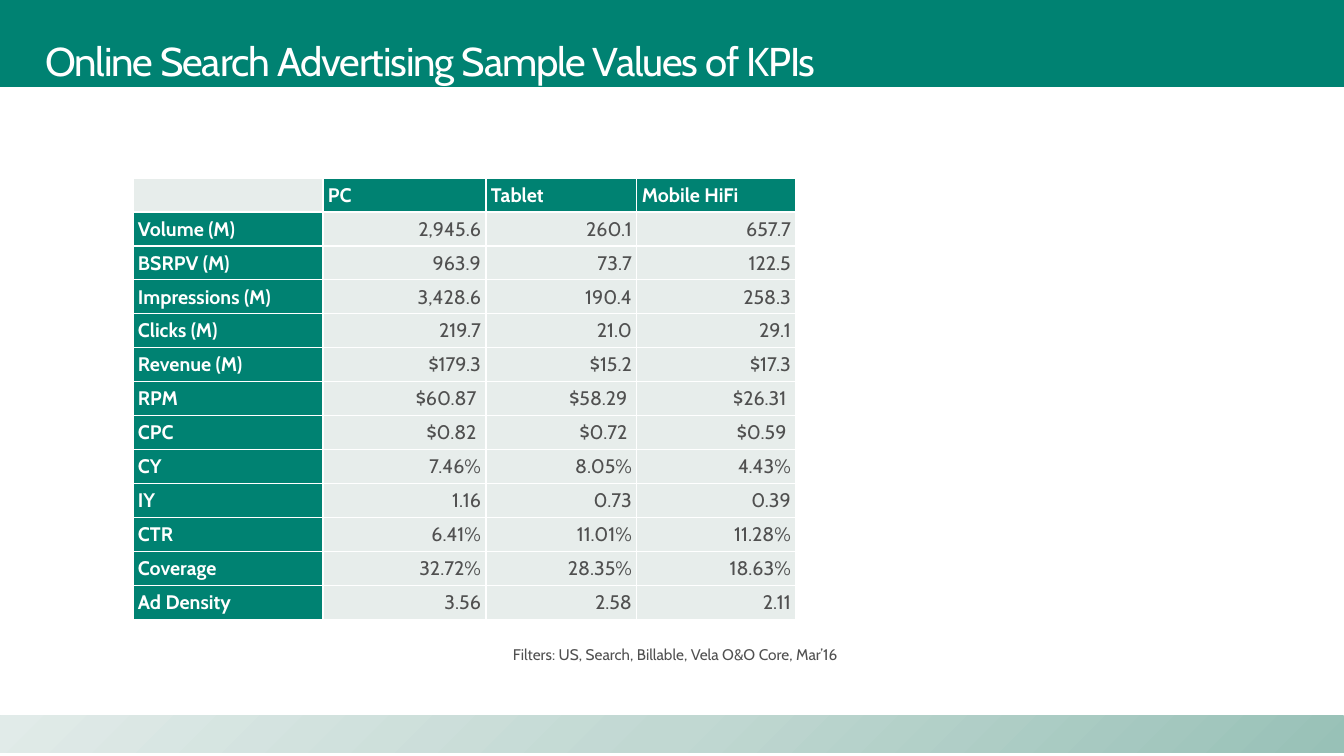
from dataclasses import dataclass

from lxml.etree import SubElement
from pptx import Presentation
from pptx.dml.color import RGBColor
from pptx.enum.shapes import MSO_SHAPE
from pptx.enum.text import MSO_ANCHOR, MSO_AUTO_SIZE, PP_ALIGN
from pptx.oxml import parse_xml
from pptx.oxml.ns import nsdecls, qn
from pptx.util import Pt

TITLE = "Online Search Advertising Sample Values of KPIs"
FILTERS = "Filters: US, Search, Billable, Vela O&O Core, Mar’16"
KPI_ROWS = [
    ("", "PC", "Tablet", "Mobile HiFi"),
    ("Volume (M)", "2,945.6", "260.1", "657.7"),
    ("BSRPV (M)", "963.9", "73.7", "122.5"),
    ("Impressions (M)", "3,428.6", "190.4", "258.3"),
    ("Clicks (M)", "219.7", "21.0", "29.1"),
    ("Revenue (M)", "$179.3", "$15.2", "$17.3"),
    ("RPM", "$60.87 ", "$58.29 ", "$26.31 "),
    ("CPC", "$0.82 ", "$0.72 ", "$0.59 "),
    ("CY", "7.46%", "8.05%", "4.43%"),
    ("IY", "1.16", "0.73", "0.39"),
    ("CTR", "6.41%", "11.01%", "11.28%"),
    ("Coverage", "32.72%", "28.35%", "18.63%"),
    ("Ad Density", "3.56", "2.58", "2.11"),
]

SLIDE_SIZE = (1344, 756)
HEADER_BAND = (0, 0, 1344, 87)
FOOTER_BAND = (0, 716, 1344, 37)
TITLE_BOX = (29, 32, 1197, 146)
FILTERS_BOX = (503, 640, 395, 29)
TABLE_ORIGIN = (133, 178)
COLUMN_WIDTHS = (190, 163, 151, 159)
ROW_HEIGHT = 34
CELL_MARGIN = 5


@dataclass(frozen=True)
class Theme:
    font: str = "Cabin"
    accent: str = "008272"
    pale: str = "E7EDEB"
    white: str = "FFFFFF"
    ink: str = "505050"
    footer_stops: tuple = ((0, "98C1B7"), (50, "C1D8D2"), (100, "E1EBE9"))
    footer_angle: int = 225
    title_size: float = 28.7
    table_size: int = 14
    note_size: int = 11


THEME = Theme()


def px(length):
    return round(length * 914400 / 100.8)


def box(lengths):
    return [px(length) for length in lengths]


def style_runs(paragraph, size, color, bold=False):
    for run in paragraph.runs:
        run.font.name = THEME.font
        run.font.size = Pt(size)
        run.font.bold = bold
        run.font.color.rgb = RGBColor.from_string(color)


def add_band(slide, bounds):
    band = slide.shapes.add_shape(MSO_SHAPE.RECTANGLE, *box(bounds))
    band.shadow.inherit = False
    band.line.fill.background()
    band.fill.solid()
    band.fill.fore_color.rgb = RGBColor.from_string(THEME.accent)
    slide.shapes.title.element.addprevious(band.element)
    return band


def apply_gradient(shape, stops, angle):
    stop_xml = "".join(
        f'<a:gs pos="{position * 1000}"><a:srgbClr val="{color}"/></a:gs>'
        for position, color in stops
    )
    gradient = parse_xml(
        f'<a:gradFill {nsdecls("a")} rotWithShape="1"><a:gsLst>{stop_xml}</a:gsLst>'
        f'<a:lin ang="{angle * 60000}" scaled="0"/></a:gradFill>'
    )
    solid = shape.element.spPr.find(qn("a:solidFill"))
    solid.getparent().replace(solid, gradient)


def add_title(slide):
    title = slide.shapes.title
    title.left, title.top, title.width, title.height = box(TITLE_BOX)
    frame = title.text_frame
    frame.text = TITLE
    frame.word_wrap = True
    frame.auto_size = MSO_AUTO_SIZE.NONE
    frame.vertical_anchor = MSO_ANCHOR.TOP
    frame.margin_left = frame.margin_right = px(16)
    frame.margin_top = frame.margin_bottom = px(10)
    paragraph = frame.paragraphs[0]
    paragraph.alignment = PP_ALIGN.LEFT
    paragraph.line_spacing = 0.9
    style_runs(paragraph, THEME.title_size, THEME.white)
    paragraph.runs[0].font.element.set("spc", "-80") if hasattr(
        paragraph.runs[0].font, "element"
    ) else paragraph.runs[0]._r.get_or_add_rPr().set("spc", "-80")


def add_borders(cell):
    properties = cell._tc.get_or_add_tcPr()
    for side in ("lnL", "lnR", "lnT", "lnB"):
        properties.append(parse_xml(
            f'<a:{side} {nsdecls("a")} w="{Pt(1)}"><a:solidFill>'
            f'<a:srgbClr val="{THEME.white}"/></a:solidFill></a:{side}>'
        ))


def fill_cell(cell, text, is_heading, is_value):
    add_borders(cell)
    cell.fill.solid()
    cell.fill.fore_color.rgb = RGBColor.from_string(
        THEME.accent if is_heading else THEME.pale
    )
    cell.margin_left = cell.margin_right = px(CELL_MARGIN)
    cell.margin_top = cell.margin_bottom = px(CELL_MARGIN)
    cell.vertical_anchor = MSO_ANCHOR.BOTTOM
    paragraph = cell.text_frame.paragraphs[0]
    if not text:
        SubElement(paragraph._p, qn("a:endParaRPr"), sz=str(THEME.table_size * 100))
        return
    paragraph.text = text
    paragraph.alignment = PP_ALIGN.RIGHT if is_value else PP_ALIGN.LEFT
    color = THEME.white if is_heading else THEME.ink
    style_runs(paragraph, THEME.table_size, color, is_heading)


def add_kpi_table(slide):
    size = (sum(COLUMN_WIDTHS), ROW_HEIGHT * len(KPI_ROWS))
    table = slide.shapes.add_table(
        len(KPI_ROWS), len(COLUMN_WIDTHS), *box(TABLE_ORIGIN + size)
    ).table
    table.first_col = True
    table.horz_banding = False
    for column, width in zip(table.columns, COLUMN_WIDTHS):
        column.width = px(width)
    for row_index, values in enumerate(KPI_ROWS):
        table.rows[row_index].height = px(ROW_HEIGHT)
        for column_index, text in enumerate(values):
            is_value = row_index > 0 and column_index > 0
            is_heading = bool(text) and not is_value
            fill_cell(table.cell(row_index, column_index), text, is_heading, is_value)


def add_filters_note(slide):
    frame = slide.shapes.add_textbox(*box(FILTERS_BOX)).text_frame
    frame.word_wrap = True
    frame.auto_size = MSO_AUTO_SIZE.SHAPE_TO_FIT_TEXT
    frame.text = FILTERS
    style_runs(frame.paragraphs[0], THEME.note_size, THEME.ink)


def main():
    presentation = Presentation()
    presentation.slide_width, presentation.slide_height = box(SLIDE_SIZE)
    slide = presentation.slides.add_slide(presentation.slide_layouts[5])
    footer = add_band(slide, FOOTER_BAND)
    apply_gradient(footer, THEME.footer_stops, THEME.footer_angle)
    add_band(slide, HEADER_BAND)
    add_title(slide)
    add_kpi_table(slide)
    add_filters_note(slide)
    presentation.save("out.pptx")


if __name__ == "__main__":
    main()
